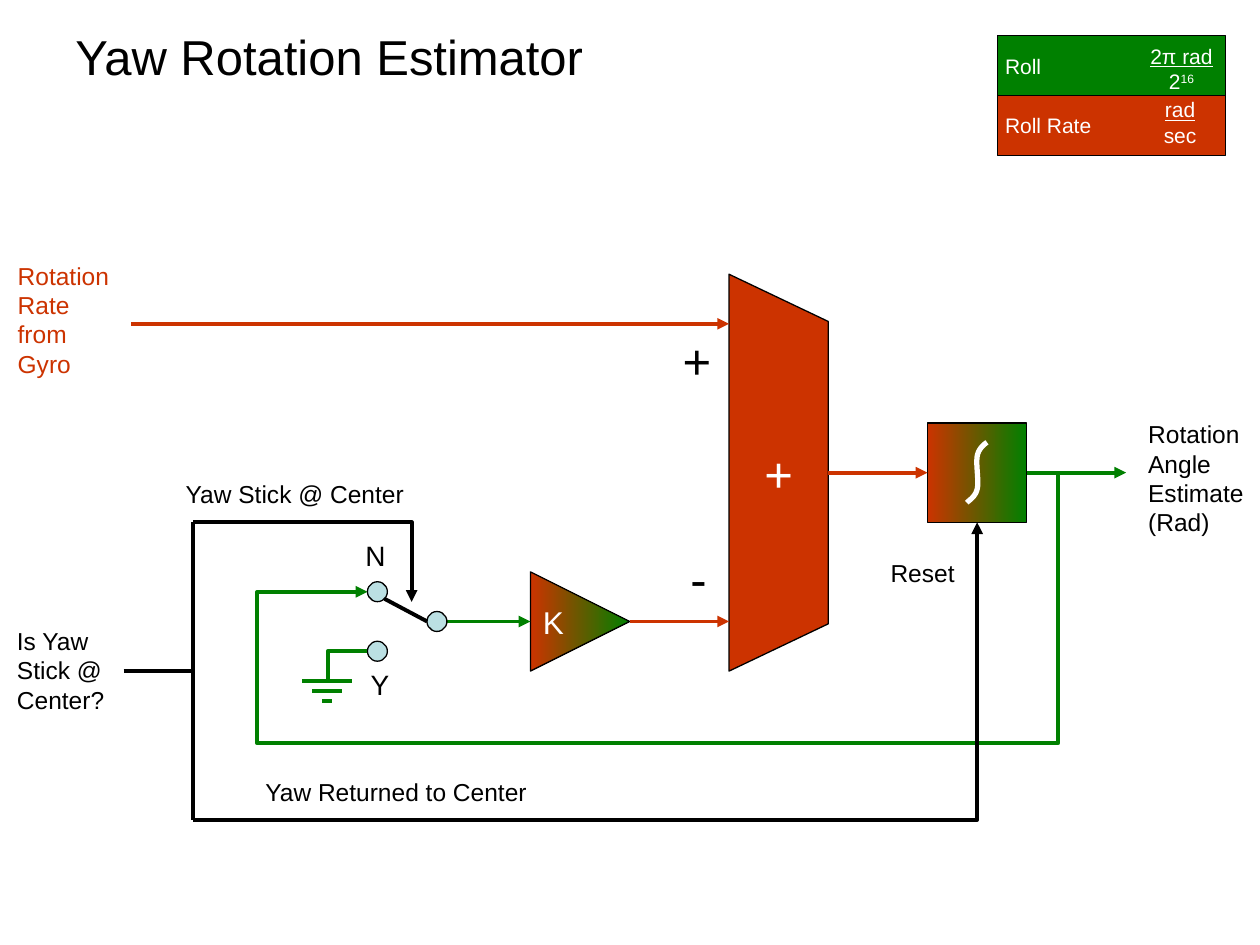
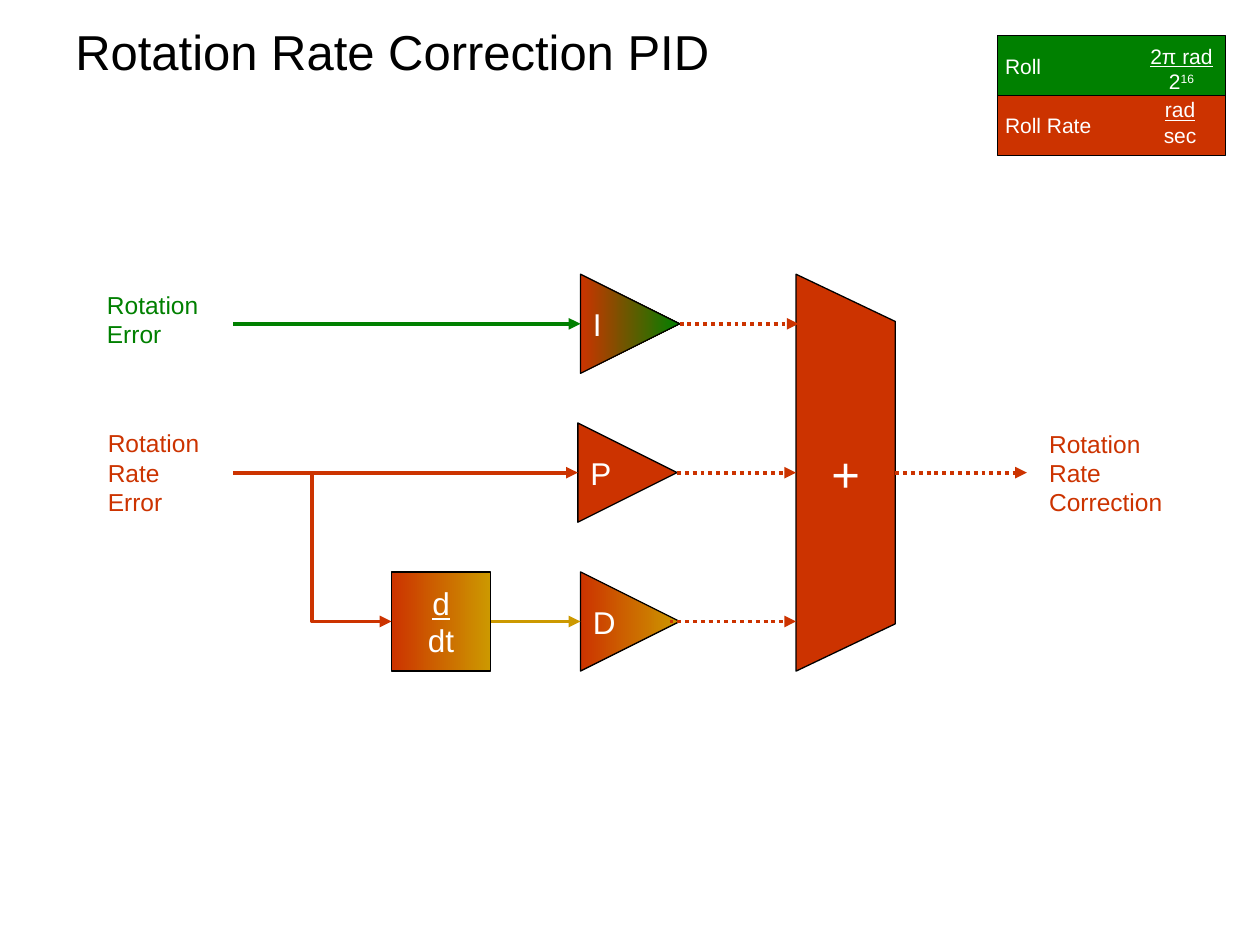
from lxml import etree
from pptx import Presentation
from pptx.dml.color import RGBColor
from pptx.enum.dml import MSO_LINE
from pptx.enum.shapes import MSO_CONNECTOR, MSO_SHAPE
from pptx.enum.text import MSO_ANCHOR, MSO_AUTO_SIZE, PP_ALIGN
from pptx.oxml.ns import qn
from pptx.util import Pt

RECTANGLE, OVAL, TRIANGLE = MSO_SHAPE.RECTANGLE, MSO_SHAPE.OVAL, MSO_SHAPE.ISOSCELES_TRIANGLE
STRAIGHT, ELBOW = MSO_CONNECTOR.STRAIGHT, MSO_CONNECTOR.ELBOW
MIDDLE, TOP = MSO_ANCHOR.MIDDLE, MSO_ANCHOR.TOP
LEFT, CENTER = PP_ALIGN.LEFT, PP_ALIGN.CENTER
DOTTED = MSO_LINE.ROUND_DOT
GROW = MSO_AUTO_SIZE.SHAPE_TO_FIT_TEXT

COLORS = {
    "black": "000000",
    "white": "FFFFFF",
    "angle": "008000",
    "rate": "CC3300",
    "acceleration": "CC9900",
    "contact": "BBE0E3",
}
FONT = "Arial"
BLOCK = 56.7
DIAGRAM_TOP = 156.7
ROWS = [DIAGRAM_TOP + BLOCK * (0.5 + 1.5 * row) for row in range(3)]
WIRE = 2.25
CONTACT = 11.4


def rgb(name):
    return RGBColor.from_string(COLORS[name])


def plain(text):
    return [[(line, "")] for line in text.split("\n")]


def write(shape, lines, size, color, align=LEFT, anchor=TOP, insets=(7.2, 3.6), wrap=False):
    frame = shape.text_frame
    frame.word_wrap = wrap
    frame.vertical_anchor = anchor
    frame.margin_left = frame.margin_right = Pt(insets[0])
    frame.margin_top = frame.margin_bottom = Pt(insets[1])
    for index, line in enumerate(lines):
        para = frame.add_paragraph() if index else frame.paragraphs[0]
        para.alignment = align
        for text, style in line:
            span = para.add_run()
            span.text = text
            span.font.name = FONT
            span.font.size = Pt(size)
            span.font.color.rgb = rgb(color)
            if style == "underline":
                span.font.underline = True
            if style == "superscript":
                span.font._element.set("baseline", "30000")


def label(page, box, text, size=14, color="black"):
    shape = page.shapes.add_textbox(*map(Pt, box))
    write(shape, plain(text), size, color)
    shape.text_frame.auto_size = GROW


def paint(shape, fill, line="black", width=0.75):
    if fill is None:
        shape.fill.background()
    elif isinstance(fill, tuple):
        shape.fill.gradient()
        shape.fill.gradient_angle = 0
        for stop, name in zip(shape.fill.gradient_stops, fill):
            stop.color.rgb = rgb(name)
        shape.element.spPr.find(qn("a:gradFill")).set("rotWithShape", "0")
    else:
        shape.fill.solid()
        shape.fill.fore_color.rgb = rgb(fill)
    shape.line.color.rgb = rgb(line)
    shape.line.width = Pt(width)
    shape.shadow.inherit = False
    return shape


def preset(page, kind, box, fill):
    return paint(page.shapes.add_shape(kind, *map(Pt, box)), fill)


def outline(page, points, fill=None, line="black", width=WIRE, close=False):
    start, *others = [(Pt(x), Pt(y)) for x, y in points]
    builder = page.shapes.build_freeform(*start, scale=1.0)
    builder.add_line_segments(others, close=close)
    return paint(builder.convert_to_shape(), fill, line, width)


def add_arrowhead(shape):
    line = shape.element.spPr.find(qn("a:ln"))
    etree.SubElement(line, qn("a:tailEnd")).set("type", "triangle")


def wire(page, start, end, color, arrow=True, kind=STRAIGHT, dash=None, source=None, target=None):
    connector = page.shapes.add_connector(kind, *map(Pt, start + end))
    connector.line.color.rgb = rgb(color)
    connector.line.width = Pt(WIRE)
    if dash is not None:
        connector.line.dash_style = dash
    if source is not None:
        connector.begin_connect(source, 3)
    if target is not None:
        connector.end_connect(target, 1)
    etree.SubElement(connector.element.spPr, qn("a:effectLst"))
    if arrow:
        add_arrowhead(connector)
    return connector


def feedback_wire(page, start, end, right, bottom, left):
    connector = wire(page, start, end, "angle", kind=ELBOW)
    width, height = start[0] - end[0], end[1] - start[1]
    ratios = [(start[0] - right) / width, (bottom - start[1]) / height, (start[0] - left) / width]
    geometry = connector.element.spPr.find(qn("a:prstGeom"))
    geometry.set("prst", "bentConnector5")
    guides = geometry.find(qn("a:avLst"))
    if guides is None:
        guides = etree.SubElement(geometry, qn("a:avLst"))
    for number, ratio in enumerate(ratios, 1):
        guide = etree.SubElement(guides, qn("a:gd"))
        guide.set("name", f"adj{number}")
        guide.set("fmla", f"val {round(ratio * 100000)}")


def title(page, box, text):
    shape = page.shapes.add_textbox(*map(Pt, box))
    write(shape, plain(text), 28, "black", anchor=MIDDLE, wrap=True)


def legend(page, left, top):
    entries = [
        ("Roll", "angle", 80.3, 3.8, [[("2π rad", "underline")], [("2", ""), ("16", "superscript")]]),
        ("Roll Rate", "rate", 79.5, 0.1, [[("rad", "underline")], [("sec", "")]]),
    ]
    height = 34.2
    for row, (name, color, indent, drop, unit) in enumerate(entries):
        row_top = top + row * height
        band = preset(page, RECTANGLE, (left, row_top, 130.3, height), color)
        write(band, plain(name), 12, "white", anchor=MIDDLE, insets=(4.3, 0.7), wrap=True)
        unit_box = page.shapes.add_textbox(*map(Pt, (left + indent, row_top + drop, 49.7, 30.2)))
        write(unit_box, unit, 12, "white", CENTER, insets=(1.4, 0.7), wrap=True)


def adder(page, left, top):
    height, slope = 4 * BLOCK, 27
    right, bottom = left + BLOCK, top + height
    points = [(left, bottom), (left, top), (right, top + slope), (right, bottom - slope)]
    shape = outline(page, points, "rate", width=0.75, close=True)
    write(shape, plain("+"), 28, "white", CENTER, MIDDLE)


def gain(page, left, middle, letter, fill):
    shape = preset(page, TRIANGLE, (left, middle - BLOCK / 2, BLOCK, BLOCK), fill)
    shape.rotation = 90
    write(shape, plain(letter), 18, "white", CENTER, MIDDLE, (3.6, 3.6), wrap=True)
    body = shape.element.txBody.bodyPr
    body.set("vert", "eaVert")
    body.set("rot", "10800000")


def bezier(start, first, second, end, steps=10):
    for step in range(1, steps + 1):
        t = step / steps
        weights = ((1 - t) ** 3, 3 * t * (1 - t) ** 2, 3 * t * t * (1 - t), t ** 3)
        corners = (start, first, second, end)
        yield tuple(sum(w * c[axis] for w, c in zip(weights, corners)) for axis in (0, 1))


def integrator(page, left, middle):
    top = middle - BLOCK / 2
    shape = preset(page, RECTANGLE, (left, top, BLOCK, BLOCK), ("rate", "angle"))
    curves = [
        ((32, 12.5), (29.5, 14.5), (28.5, 18.5)),
        ((27.5, 23), (29.5, 33), (28.5, 37.5)),
        ((27.5, 42), (24, 44), (22.5, 45.5)),
    ]
    points = [(34, 11)]
    for curve in curves:
        points.extend(bezier(points[-1], *curve))
    outline(page, [(left + x, top + y) for x, y in points], line="white", width=3)
    return shape


def differentiator(page, left, middle):
    box = (left, middle - BLOCK / 2, BLOCK, BLOCK)
    shape = preset(page, RECTANGLE, box, ("rate", "acceleration"))
    write(shape, [[("d", "underline")], [("dt", "")]], 18, "white", CENTER, MIDDLE)
    return shape


def ground(page, middle, top):
    for bar, half in enumerate((14.2, 8.5, 2.8)):
        y = top + bar * 5.7
        wire(page, (middle - half, y), (middle + half, y), "angle", arrow=False)


def switch(page, left, middle):
    gap = 17
    centers = [(left, middle - gap), (left + 2 * gap, middle), (left, middle + gap)]
    for x, y in centers:
        preset(page, OVAL, (x - CONTACT / 2, y - CONTACT / 2, CONTACT, CONTACT), "contact")
    wire(page, (left + 4, middle - 13), (left + 28.4, middle), "black", arrow=False)
    ground(page, left - 28.7, middle + 34.2)
    drop = [(left - CONTACT / 2, middle + gap), (left - 28.4, middle + gap), (left - 28.4, middle + 34.2)]
    outline(page, drop, line="angle")
    label(page, (left - 14, middle - 51, 26, 26.6), "N", 16)
    label(page, (left - 11, middle + 23, 25, 26.6), "Y", 16)


def stick_paths(page, left, top, bottom, switch_x, reset_x):
    input_y = 383.3
    wire(page, (70.6, input_y), (left, input_y), "black", arrow=False)
    wire(page, (left, top), (left, bottom), "black", arrow=False)
    paths = [
        [(left, top), (switch_x, top), (switch_x, top + 45.5)],
        [(left, bottom), (reset_x, bottom), (reset_x, top)],
    ]
    for points in paths:
        add_arrowhead(outline(page, points))


def estimator_page(page):
    top_row, middle_row, bottom_row = ROWS
    gain_x, adder_x, integrator_x, switch_x = 303.1, 416.6, 530, 215.7
    integral = integrator(page, integrator_x, middle_row)
    adder(page, adder_x, DIAGRAM_TOP)
    gain(page, gain_x, bottom_row, "K", ("rate", "angle"))

    wire(page, (255.4, bottom_row), (gain_x, bottom_row), "angle")
    wire(page, (gain_x + BLOCK, bottom_row), (adder_x, bottom_row), "rate")
    wire(page, (74.9, top_row), (adder_x, top_row), "rate")
    wire(page, (adder_x + BLOCK, middle_row), (integrator_x, middle_row), "rate", target=integral)
    output = (integrator_x + BLOCK, middle_row)
    wire(page, output, (643.5, middle_row), "angle", source=integral)
    feedback_wire(page, output, (switch_x - CONTACT / 2, bottom_row - 17), 604.7, 424.7, 147)
    stick_paths(page, 110.4, middle_row + BLOCK / 2, 468.5, 235.2, integrator_x + BLOCK / 2)
    switch(page, switch_x, bottom_row)

    label(page, (383, 185.3, 30.2, 41), "+", 28)
    label(page, (387.4, 309.8, 23.8, 41), "-", 28)
    label(page, (3, 145.4, 68, 74.9), "Rotation\nRate\nfrom\nGyro", color="rate")
    label(page, (2.6, 354.2, 66, 57.6), "Is Yaw\nStick @\nCenter?")
    label(page, (649, 236, 70, 74.9), "Rotation\nAngle\nEstimate\n(Rad)")
    label(page, (99, 270.2, 140.4, 24.5), "Yaw Stick @ Center")
    label(page, (144.5, 440.4, 164.9, 24.5), "Yaw Returned to Center")
    label(page, (501.8, 315.4, 51, 24.5), "Reset")


def correction_page(page):
    top_row, middle_row, bottom_row = ROWS
    input_x, box_x, gain_x, adder_x = 133.2, 223.7, 331.7, 454.9
    adder(page, adder_x, DIAGRAM_TOP)
    derivative = differentiator(page, box_x, bottom_row)
    gains = [
        ("I", gain_x, top_row, ("rate", "angle"), 0, 1.4),
        ("P", gain_x - 1.5, middle_row, "rate", 0, 0),
        ("D", gain_x, bottom_row, ("rate", "acceleration"), -5.8, 0),
    ]
    for letter, left, row, fill, start_shift, end_shift in gains:
        gain(page, left, row, letter, fill)
        start = (left + BLOCK + start_shift, row)
        wire(page, start, (adder_x + end_shift, row), "rate", dash=DOTTED)

    wire(page, (input_x, top_row), (gain_x, top_row), "angle")
    wire(page, (input_x, middle_row), (gain_x - 1.5, middle_row), "rate")
    wire(page, (input_x, middle_row), (box_x, bottom_row), "rate", kind=ELBOW)
    wire(page, (box_x + BLOCK, bottom_row), (gain_x, bottom_row), "acceleration", source=derivative)
    wire(page, (adder_x + BLOCK, middle_row), (586.8, middle_row), "rate", dash=DOTTED)

    label(page, (54, 162.2, 68, 41), "Rotation\nError", color="angle")
    label(page, (54.5, 241.2, 68, 57.6), "Rotation\nRate\nError", color="rate")
    label(page, (592.4, 241.4, 80, 57.6), "Rotation\nRate\nCorrection", color="rate")


def main():
    deck = Presentation()
    deck.slide_width, deck.slide_height = Pt(720), Pt(540)
    pages = [
        ("Yaw Rotation Estimator", 56.9, estimator_page),
        ("Rotation Rate Correction PID", 51.1, correction_page),
    ]
    for heading, title_height, draw in pages:
        page = deck.slides.add_slide(deck.slide_layouts[6])
        title(page, (36, 3.6, 648, title_height), heading)
        draw(page)
        legend(page, 570, 20.4)
    deck.save("out.pptx")


if __name__ == "__main__":
    main()
